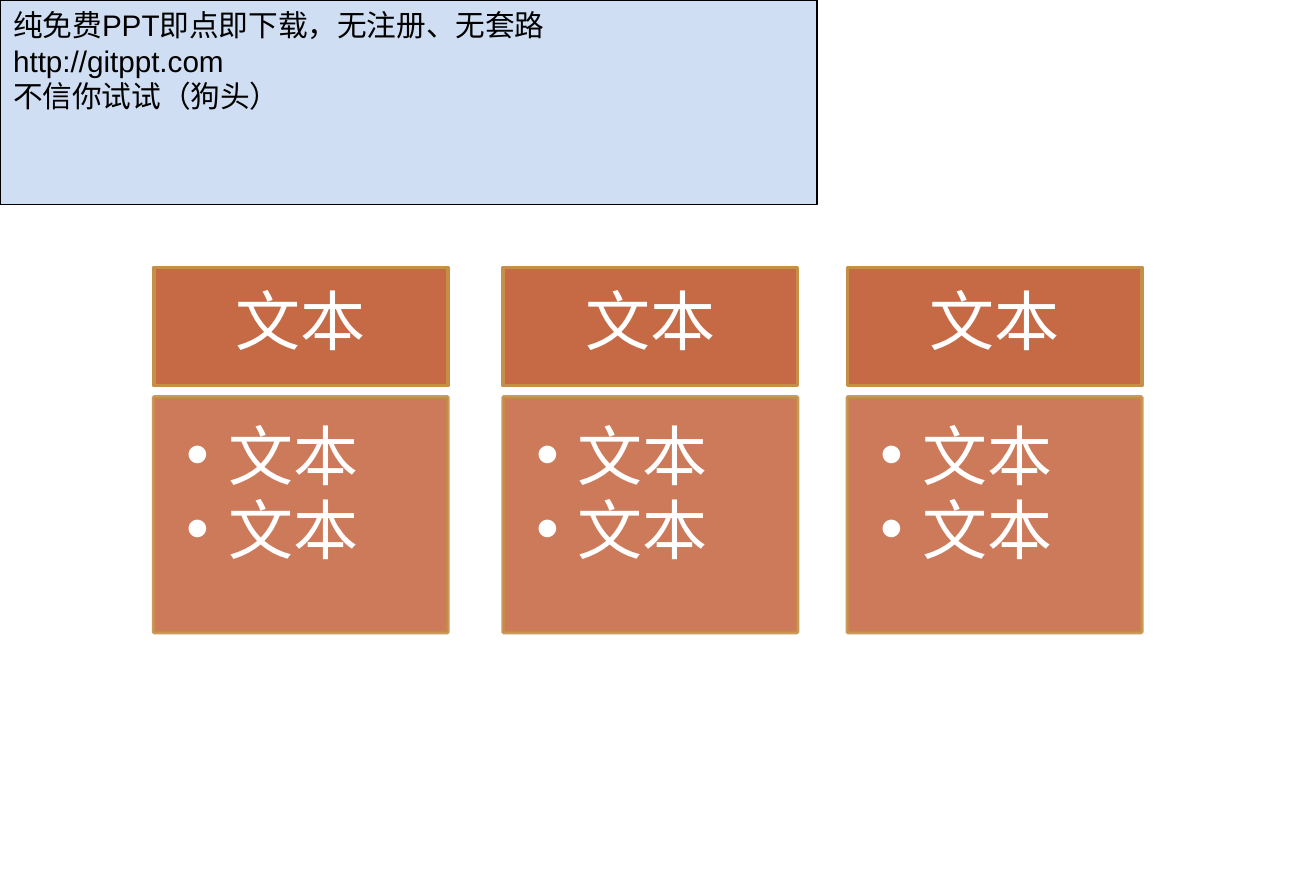
import pptx
import pptx.util
import pptx.dml.color
import pptx.enum.shapes
import pptx.enum.text
import pptx.oxml.ns
import pptx.oxml.xmlchemy
from dataclasses import dataclass

Cm = pptx.util.Cm
Pt = pptx.util.Pt
qn = pptx.oxml.ns.qn
PP_ALIGN = pptx.enum.text.PP_ALIGN
MSO_ANCHOR = pptx.enum.text.MSO_ANCHOR


@dataclass(frozen=True)
class Theme:
    card: str = "C66A46"
    card_line: str = "C68E46"
    note: str = "CFDEF3"
    black: str = "000000"
    white: str = "FFFFFF"
    card_size: float = 35
    note_size: float = 16
    latin: str = "Arial"
    cjk: str = "Noto Sans CJK SC"


def rgb(value):
    return pptx.dml.color.RGBColor.from_string(value)


def add_xml(parent, tag, **attrs):
    el = pptx.oxml.xmlchemy.OxmlElement(tag)
    for name, value in attrs.items():
        el.set(name, value)
    parent.append(el)


def write_text(tf, text, *, size, color, latin, cjk, insets, align=PP_ALIGN.LEFT,
               anchor=MSO_ANCHOR.TOP, spacing=None, after=0, indent=None,
               bullet_font=None):
    tf.word_wrap = True
    tf.vertical_anchor = anchor
    tf.margin_left, tf.margin_top, tf.margin_right, tf.margin_bottom = map(Cm, insets)
    for i, line in enumerate(text.split("\n")):
        p = tf.add_paragraph() if i else tf.paragraphs[0]
        if indent:
            pPr = p._p.get_or_add_pPr()
            pPr.set("marL", str(Cm(indent)))
            pPr.set("indent", str(-Cm(indent)))
            add_xml(pPr, "a:buFont", typeface=bullet_font)
            add_xml(pPr, "a:buChar", char="•")
        p.alignment = align
        p.line_spacing = spacing
        p.space_after = Pt(after)
        r = p.add_run()
        r.text = line
        r.font.size = Pt(size)
        r.font.name = latin
        r.font.color.rgb = rgb(color)
        add_xml(r._r.get_or_add_rPr(), "a:ea", typeface=cjk)


class Deck:
    def __init__(self, theme, width, height):
        self.theme = theme
        self.prs = pptx.Presentation()
        self.prs.slide_width, self.prs.slide_height = Cm(width), Cm(height)
        self.s = self.prs.slides.add_slide(self.prs.slide_layouts[6])

    def box(self, x, y, w, h, fill, line, weight, alphas=()):
        sp = self.s.shapes.add_shape(pptx.enum.shapes.MSO_SHAPE.RECTANGLE,
                                     Cm(x), Cm(y), Cm(w), Cm(h))
        sp.shadow.inherit = False
        sp.fill.solid()
        sp.fill.fore_color.rgb = rgb(fill)
        sp.line.color.rgb = rgb(line)
        sp.line.width = Pt(weight)
        for clr, alpha in zip(sp._element.spPr.iter(qn("a:srgbClr")), alphas):
            add_xml(clr, "a:alpha", val=str(alpha * 1000))
        return sp.text_frame

    def heading(self, x, y, w, h, text):
        t = self.theme
        tf = self.box(x, y, w, h, t.card, t.card_line, 2)
        write_text(tf, text, size=t.card_size, color=t.white, latin=t.cjk, cjk=t.cjk,
                   insets=(0.84, 0.48, 0.84, 0.48), align=PP_ALIGN.CENTER,
                   anchor=MSO_ANCHOR.MIDDLE, spacing=0.8, after=15.2)

    def bullets(self, x, y, w, h, text):
        t = self.theme
        tf = self.box(x, y, w, h, t.card, t.card_line, 2, alphas=(89, 88))
        write_text(tf, text, size=t.card_size, color=t.white, latin=t.cjk, cjk=t.cjk,
                   insets=(0.63, 0.63, 0.84, 0.95), spacing=0.8, after=6.5,
                   indent=0.79, bullet_font=t.latin)

    def note(self, x, y, w, h, text):
        t = self.theme
        tf = self.box(x, y, w, h, t.note, t.black, 0.75)
        write_text(tf, text, size=t.note_size, color=t.black, latin=t.latin, cjk=t.cjk,
                   insets=(0.25, 0.13, 0.25, 0.13))


def main():
    deck = Deck(Theme(), 25, 16.69)
    for x in (2.92, 9.56, 16.1):
        deck.heading(x, 5.08, 5.59, 2.24, "文本")
        deck.bullets(x, 7.54, 5.59, 4.47, "文本\n文本")
    deck.note(0, 0, 15.52, 3.89,
              "纯免费PPT即点即下载，无注册、无套路\nhttp://gitppt.com\n不信你试试（狗头）")
    deck.prs.save("out.pptx")


if __name__ == "__main__":
    main()
